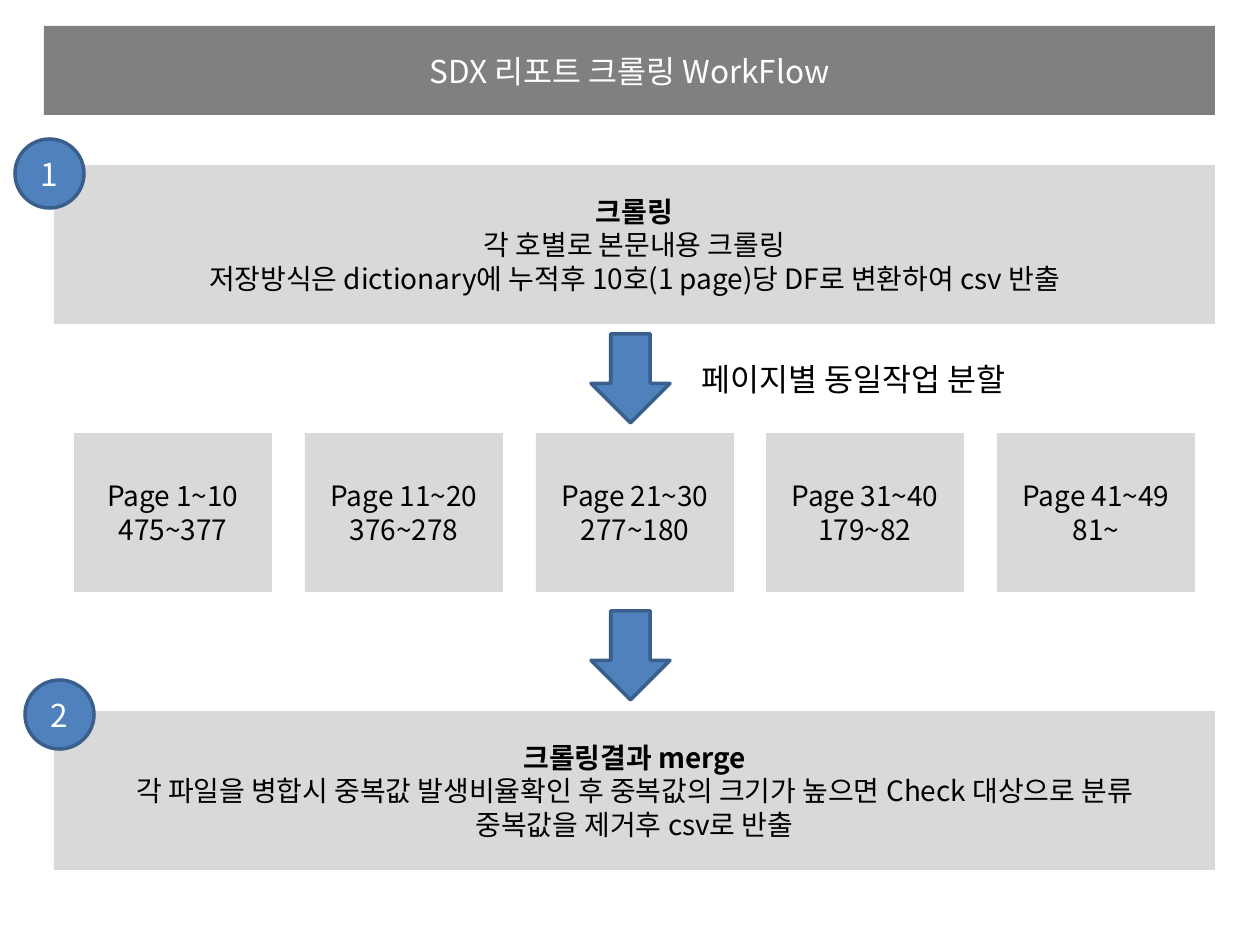
from dataclasses import dataclass

from lxml import etree
from pptx import Presentation
from pptx.dml.color import RGBColor
from pptx.enum.shapes import MSO_SHAPE
from pptx.enum.text import MSO_ANCHOR, MSO_AUTO_SIZE, PP_ALIGN
from pptx.oxml.ns import qn
from pptx.util import Emu, Pt

RECTANGLE, OVAL, ARROW = MSO_SHAPE.RECTANGLE, MSO_SHAPE.OVAL, MSO_SHAPE.RIGHT_ARROW
MIDDLE = MSO_ANCHOR.MIDDLE
CENTER, LEFT = PP_ALIGN.CENTER, PP_ALIGN.LEFT
FIT_SHAPE = MSO_AUTO_SIZE.SHAPE_TO_FIT_TEXT
PIXEL = 914400 / 126


@dataclass(frozen=True)
class Theme:
    font: str = "Noto Sans CJK KR"
    header: RGBColor = RGBColor(0x80, 0x80, 0x80)
    panel: RGBColor = RGBColor(0xD9, 0xD9, 0xD9)
    accent: RGBColor = RGBColor(0x4F, 0x81, 0xBD)
    outline: RGBColor = RGBColor(0x3A, 0x5F, 0x8C)
    dark: RGBColor = RGBColor(0, 0, 0)
    light: RGBColor = RGBColor(255, 255, 255)
    large: int = 18
    body: int = 16


theme = Theme()
presentation = Presentation()
presentation.slide_width = Emu(round(1260 * PIXEL))
presentation.slide_height = Emu(round(945 * PIXEL))
slide = presentation.slides.add_slide(presentation.slide_layouts[6])


def write(shape, lines, size, color, alignment=CENTER, bold_first=False):
    frame = shape.text_frame
    frame.text = "\n".join(lines)
    for index, paragraph in enumerate(frame.paragraphs):
        paragraph.alignment = alignment
        font = paragraph.font
        font.size = Pt(size)
        font.bold = bold_first and index == 0
        font.color.rgb = color
        font.name = theme.font
        defaults = paragraph._p.pPr.find(qn("a:defRPr"))
        etree.SubElement(defaults, qn("a:ea")).set("typeface", theme.font)


def add_block(kind, box, fill, outlined=False):
    shape = slide.shapes.add_shape(kind, *(Emu(round(value * PIXEL)) for value in box))
    shape.shadow.inherit = False
    shape.fill.solid()
    shape.fill.fore_color.rgb = fill
    if outlined:
        shape.line.color.rgb = theme.outline
        shape.line.width = Pt(2)
    else:
        shape.line.fill.background()
    shape.text_frame.vertical_anchor = MIDDLE
    return shape


header = add_block(RECTANGLE, (44, 26, 1171, 89), theme.header)
write(header, ["SDX 리포트 크롤링 WorkFlow"], theme.large, theme.light)

steps = [
    (165, (15, 139), "1", [
        "크롤링",
        "각 호별로 본문내용 크롤링",
        "저장방식은 dictionary에 누적후 10호(1 page)당 DF로 변환하여 csv 반출",
    ]),
    (711, (25, 680), "2", [
        "크롤링결과 merge",
        "각 파일을 병합시 중복값 발생비율확인 후 중복값의 크기가 높으면 Check 대상으로 분류",
        "중복값을 제거후 csv로 반출",
    ]),
]
for top, badge_corner, number, lines in steps:
    panel = add_block(RECTANGLE, (54, top, 1161, 159), theme.panel)
    write(panel, lines, theme.body, theme.dark, bold_first=True)
    badge = add_block(OVAL, (*badge_corner, 69, 69), theme.accent, outlined=True)
    write(badge, [number], theme.large, theme.light)

for top in (339, 616):
    arrow = add_block(ARROW, (586, top, 89, 79), theme.accent, outlined=True)
    arrow.rotation = 90

caption_box = (689, 354, 367, 50)
caption = slide.shapes.add_textbox(*(Emu(round(value * PIXEL)) for value in caption_box))
caption.text_frame.word_wrap = False
caption.text_frame.auto_size = FIT_SHAPE
write(caption, ["페이지별 동일작업 분할"], theme.large, theme.dark, LEFT)

page_groups = [
    ("Page 1~10", "475~377"),
    ("Page 11~20", "376~278"),
    ("Page 21~30", "277~180"),
    ("Page 31~40", "179~82"),
    ("Page 41~49", "81~"),
]
first_left, last_left = 74, 997
pitch = (last_left - first_left) / (len(page_groups) - 1)
for index, lines in enumerate(page_groups):
    left = round(first_left + index * pitch)
    page_box = add_block(RECTANGLE, (left, 433, 198, 159), theme.panel)
    write(page_box, lines, theme.body, theme.dark)

presentation.save("out.pptx")
